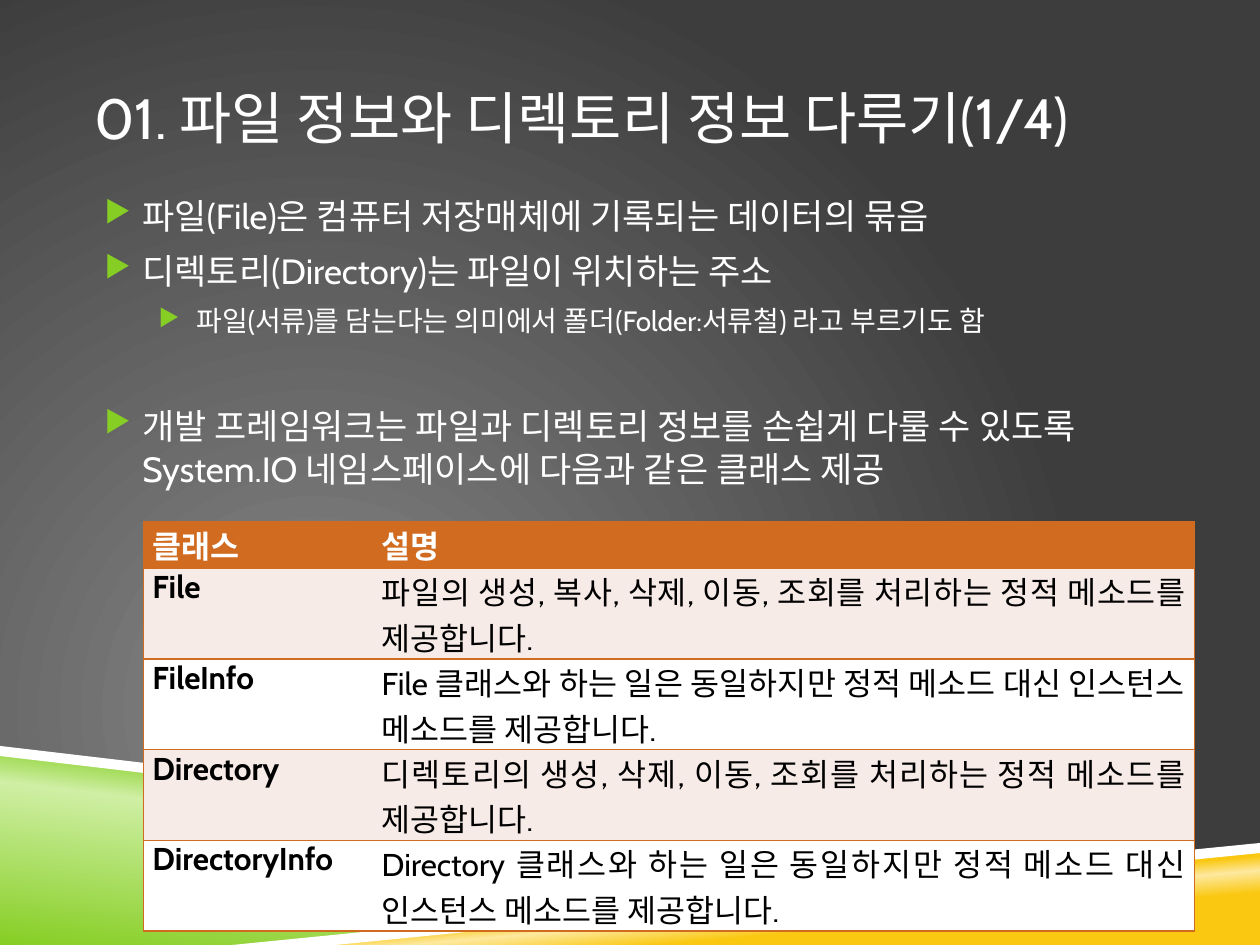
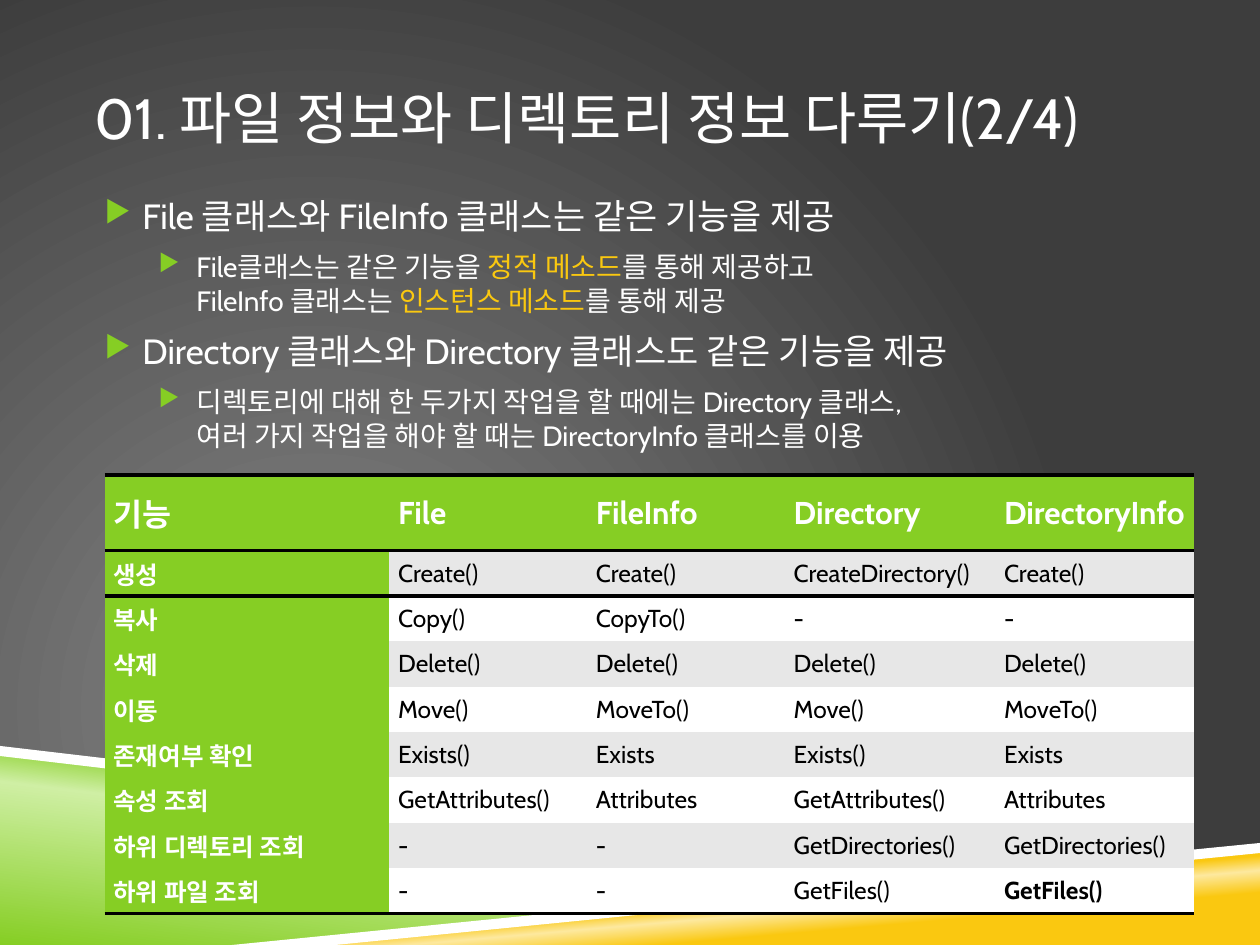
from lxml.etree import SubElement
from pptx import Presentation
from pptx.dml.color import RGBColor
from pptx.enum.text import MSO_ANCHOR as Anchor, PP_ALIGN as Align
from pptx.oxml import parse_xml
from pptx.oxml.ns import nsdecls, qn
from pptx.util import Inches, Pt

FONT = "Cabin"
WHITE, BLACK, GREEN, GOLD, RUST = "FFFFFF", "000000", "86CE24", "FAC810", "D06B20"
PINK, GRAY = "F7EBE8", "E7E7E7"
NO_STYLE = "{2D5ABB26-0587-4C30-8999-92F81FD0307C}"
BACK = [(0, "878787"), (100, "3D3D3D")]
RADIAL = ('<a:path path="circle"><a:fillToRect l="50000" t="100000"'
          ' r="100000" b="50000"/></a:path>')

# Points, then a plain colour or gradient stops with an angle
BANDS = [
    ([(0, 5.97), (7.92, 6.92), (2, 7.5), (0, 7.5)],
     ([(0, GREEN), (52, "CFEFA4"), (66, GREEN)], 277)),
    ([(1.98, 7.5), (10, 6.72), (10, 7.5)],
     ([(28, GOLD), (40, "FDE99F"), (48, GOLD)], 265)),
    ([(0, 5.92), (0, 6), (7.9, 6.93), (8.32, 6.9)], WHITE),
    ([(10, 6.69), (1.84, 7.5), (2.66, 7.5), (10, 6.77)], WHITE),
]

CLASSES = [
    ("클래스", "설명"),
    ("File", "파일의 생성, 복사, 삭제, 이동, 조회를 처리하는 정적 메소드를 제공합니다."),
    ("FileInfo", "File 클래스와 하는 일은 동일하지만 정적 메소드 대신 인스턴스 메소드를 제공합니다."),
    ("Directory", "디렉토리의 생성, 삭제, 이동, 조회를 처리하는 정적 메소드를 제공합니다."),
    ("DirectoryInfo",
     "Directory 클래스와 하는 일은 동일하지만 정적 메소드 대신 인스턴스 메소드를 제공합니다."),
]

METHODS = [
    ("기능", "File", "FileInfo", "Directory", "DirectoryInfo"),
    ("생성", "Create()", "Create()", "CreateDirectory()", "Create()"),
    ("복사", "Copy()", "CopyTo()", "-", "-"),
    ("삭제", "Delete()", "Delete()", "Delete()", "Delete()"),
    ("이동", "Move()", "MoveTo()", "Move()", "MoveTo()"),
    ("존재여부 확인", "Exists()", "Exists", "Exists()", "Exists"),
    ("속성 조회", "GetAttributes()", "Attributes", "GetAttributes()", "Attributes"),
    ("하위 디렉토리 조회", "-", "-", "GetDirectories()", "GetDirectories()"),
    ("하위 파일 조회", "-", "-", "GetFiles()", "GetFiles()"),
]


def rgb(code):
    return RGBColor.from_string(code)


def blend(root, stops, form):
    """Swap the first solid fill under root for a gradient."""
    gs = "".join(f'<a:gs pos="{pos * 1000}"><a:srgbClr val="{code}"/></a:gs>'
                 for pos, code in stops)
    old = root.find(".//" + qn("a:solidFill"))
    old.getparent().replace(old, parse_xml(
        f'<a:gradFill {nsdecls("a")} rotWithShape="1">'
        f'<a:gsLst>{gs}</a:gsLst>{form}</a:gradFill>'))


def write(para, text, size=18, color=WHITE, bold=False, mark=GOLD):
    """Add text; parts between asterisks take the mark colour."""
    for i, part in enumerate(text.split("*")):
        for j, line in enumerate(part.split("\n")):
            if j:
                para.add_line_break()
            run = para.add_run()
            run.text = line
            font = run.font
            font.name, font.size, font.bold = FONT, Pt(size), bold
            font.color.rgb = rgb(mark if i % 2 else color)


def bullet(para):
    props = para._p.get_or_add_pPr()
    tint = SubElement(props, qn("a:buClr"))
    SubElement(tint, qn("a:srgbClr"), val=GREEN)
    SubElement(props, qn("a:buSzPct"), val="85000")
    SubElement(props, qn("a:buChar"), char="▶")
    return props


def border(cell, sides, color, width):
    """Draw the given sides, named in the order L, R, T, B."""
    props = cell._tc.get_or_add_tcPr()
    for side in sides:
        line = SubElement(props, qn("a:ln" + side), w=str(Pt(width)))
        fill = SubElement(line, qn("a:solidFill"))
        SubElement(fill, qn("a:srgbClr"), val=color)


class Deck:
    def __init__(self):
        self.prs = Presentation()
        self.prs.slide_width, self.prs.slide_height = Inches(10), Inches(7.5)
        master = self.prs.slide_master
        master.background.fill.solid()
        master.background.fill.fore_color.rgb = rgb(BACK[1][1])
        blend(master.element.find(".//" + qn("p:bgPr")), BACK, RADIAL)

    def start(self, title):
        """Add a slide with its bands and title."""
        self.slide = self.prs.slides.add_slide(self.prs.slide_layouts[5])
        for points, paint in BANDS:
            self.band(points, paint)
        box = self.slide.shapes.title
        box.left, box.top = Inches(0.75), Inches(0.3)
        box.width, box.height = Inches(8.5), Inches(1.25)
        frame = self.frame(box)
        frame.vertical_anchor = Anchor.MIDDLE
        frame.paragraphs[0].alignment = Align.LEFT
        write(frame.paragraphs[0], title, size=32.4)

    def frame(self, box):
        frame = box.text_frame
        frame.word_wrap = True
        frame.margin_left = frame.margin_right = 0
        frame.margin_top = frame.margin_bottom = Inches(0.05)
        return frame

    def band(self, points, paint):
        first, *rest = [(Inches(x), Inches(y)) for x, y in points]
        pen = self.slide.shapes.build_freeform(*first)
        pen.add_line_segments(rest, close=True)
        shape = pen.convert_to_shape()
        shape.shadow.inherit = False
        shape.line.fill.background()
        shape.fill.solid()
        if isinstance(paint, str):
            shape.fill.fore_color.rgb = rgb(paint)
        else:
            stops, angle = paint
            blend(shape.element.spPr, stops,
                  f'<a:lin ang="{angle * 60000}" scaled="0"/>')

    def body(self, items):
        """Add bullets given as (level, text) or (level, text, space before)."""
        box = self.slide.shapes.add_textbox(
            Inches(0.75), Inches(1.49), Inches(8.5), Inches(4.42))
        frame = self.frame(box)
        for i, (level, text, *gap) in enumerate(items):
            para = frame.add_paragraph() if i else frame.paragraphs[0]
            size = 16 if level else 20
            props = bullet(para)
            props.set("marL", str(Inches(0.81 if level else 0.38)))
            props.set("indent", str(Inches(-0.3)))
            para.level = level
            para.line_spacing = Pt(size * 1.215)
            if i:
                para.space_before = Pt(gap[0] if gap else 7)
            write(para, text, size=size)

    def table(self, rows, left, top, cols, heights, style):
        """Add a table; style(row, col) gives fill, text format, sides, line."""
        frame = self.slide.shapes.add_table(
            len(rows), len(cols), Inches(left), Inches(top),
            Inches(sum(cols)), Inches(sum(heights)))
        table = frame.table
        table._tbl.tblPr.find(qn("a:tableStyleId")).text = NO_STYLE
        for col, width in zip(table.columns, cols):
            col.width = Inches(width)
        for r, (row, height) in enumerate(zip(rows, heights)):
            table.rows[r].height = Inches(height)
            for c, text in enumerate(row):
                cell = table.cell(r, c)
                fill, form, anchor, sides, line = style(r, c)
                border(cell, sides, *line)
                cell.fill.solid()
                cell.fill.fore_color.rgb = rgb(fill)
                cell.vertical_anchor = anchor
                cell.margin_left = cell.margin_right = Inches(0.07)
                cell.margin_top = cell.margin_bottom = 0
                para = cell.text_frame.paragraphs[0]
                para.alignment = Align.JUSTIFY
                write(para, text, **form)


def class_style(r, c):
    fill = RUST if r == 0 else PINK if r % 2 else WHITE
    form = dict(color=BLACK if r else WHITE, bold=r == 0 or c == 0)
    return fill, form, Anchor.TOP, "RTB" if c else "LTB", (RUST, 1)


def method_style(r, c):
    head = r == 0 or c == 0
    last = len(METHODS) - 1
    fill = GREEN if head else GRAY if r % 2 else WHITE
    form = dict(size=14 if r else 18, color=WHITE if head else BLACK,
                bold=head or (r, c) == (last, 4))
    sides = {0: "TB", 1: "T", last: "B"}.get(r, "")
    return fill, form, Anchor.MIDDLE, sides, (BLACK, 2)


def main():
    deck = Deck()
    title = "01. 파일 정보와 디렉토리 정보 다루기({}/4)"

    deck.start(title.format(1))
    deck.body([
        (0, "파일(File)은 컴퓨터 저장매체에 기록되는 데이터의 묶음"),
        (0, "디렉토리(Directory)는 파일이 위치하는 주소"),
        (1, "파일(서류)를 담는다는 의미에서 폴더(Folder:서류철) 라고 부르기도 함"),
        (0, "개발 프레임워크는 파일과 디렉토리 정보를 손쉽게 다룰 수 있도록 "
            "System.IO 네임스페이스에 다음과 같은 클래스 제공", 38),
    ])
    deck.table(CLASSES, 1.14, 4.14, [1.82, 6.52], [0.37] + [0.72] * 4, class_style)

    deck.start(title.format(2))
    deck.body([
        (0, "File 클래스와 FileInfo 클래스는 같은 기능을 제공"),
        (1, "File클래스는 같은 기능을 *정적 메소드*를 통해 제공하고\n"
            "FileInfo 클래스는 *인스턴스 메소드*를 통해 제공"),
        (0, "Directory 클래스와 Directory 클래스도 같은 기능을 제공"),
        (1, "디렉토리에 대해 한 두가지 작업을 할 때에는 Directory 클래스,\n"
            "여러 가지 작업을 해야 할 때는 DirectoryInfo 클래스를 이용"),
    ])
    deck.table(METHODS, 0.83, 3.77, [2.26, 1.57, 1.57, 1.67, 1.58],
               [0.6] + [0.36] * 8, method_style)

    deck.prs.save("out.pptx")


if __name__ == "__main__":
    main()
